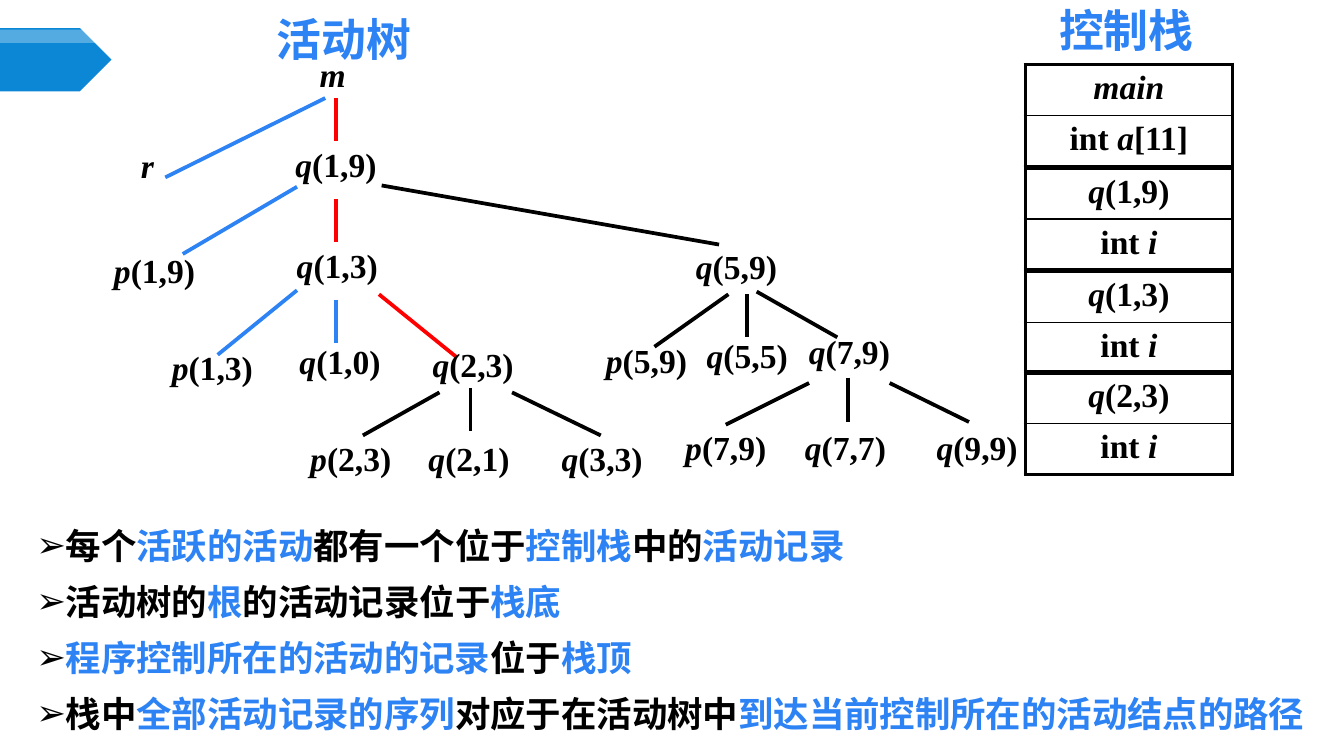
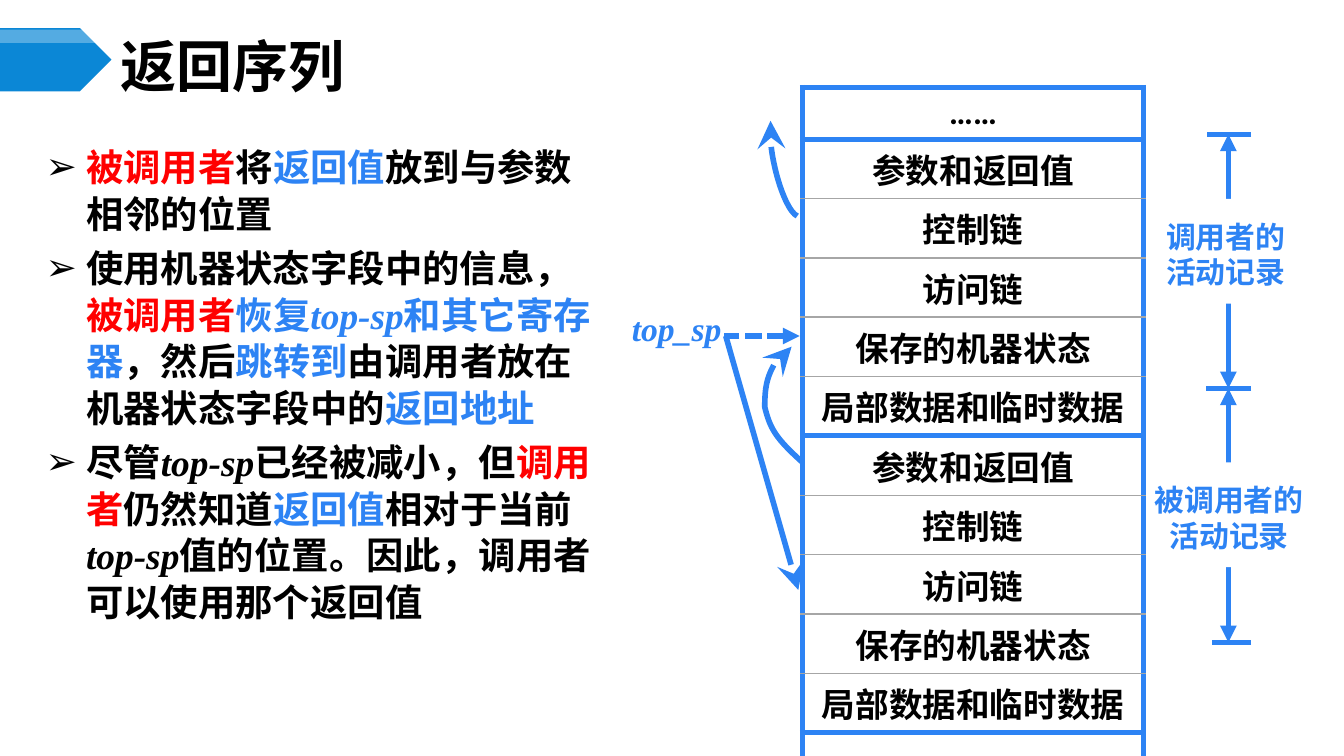
from lxml import etree
from pptx import Presentation
from pptx.dml.color import RGBColor
from pptx.enum.dml import MSO_LINE
from pptx.enum.shapes import MSO_CONNECTOR, MSO_SHAPE
from pptx.enum.text import MSO_ANCHOR, MSO_AUTO_SIZE, PP_ALIGN
from pptx.oxml.ns import qn
from pptx.util import Inches, Pt

CENTER, LEFT, JUSTIFY = PP_ALIGN.CENTER, PP_ALIGN.LEFT, PP_ALIGN.JUSTIFY
MIDDLE, TOP = MSO_ANCHOR.MIDDLE, MSO_ANCHOR.TOP
NO_FIT = MSO_AUTO_SIZE.NONE
STRAIGHT = MSO_CONNECTOR.STRAIGHT
PENTAGON, RECT, ARC = MSO_SHAPE.PENTAGON, MSO_SHAPE.RECTANGLE, MSO_SHAPE.ARC
SYS_DASH = MSO_LINE.SQUARE_DOT

COLORS = {"k": "000000", "b": "2D83F4", "r": "FF0000", "g": "A6A6A6",
          "w": "FFFFFF", "band": "0B87D6"}
RGB = {key: RGBColor.from_string(value) for key, value in COLORS.items()}
SANS, SERIF, CELL = "Noto Sans CJK SC", "Times New Roman", "Calibri"
COLS, ROWS = 100, 56.25
UNIT = Inches(10) // COLS


def grid(*cells):
    return [round(cell * UNIT) for cell in cells]


def write(p, marked, size, latin):
    for part in marked.split("|"):
        style, _, text = part.partition(":")
        if not text:
            continue
        r = p.add_run()
        r.text = text
        r.font.size = Pt(size)
        r.font.bold = True
        r.font.italic = "i" in style
        r.font.color.rgb = RGB[style[0]]
        r.font.name = latin
        etree.SubElement(r.font._element, qn("a:ea"), typeface=SANS)


prs = Presentation()
prs.slide_width, prs.slide_height = grid(COLS, ROWS)
layout = prs.slide_layouts[1]
tree, ret = [prs.slides.add_slide(layout) for _ in range(2)]

bands = [(2.1, 4.7, "band", None), (2.2, 1, "w", "30000")]
for i, (top, height, color, alpha) in enumerate(bands):
    sp = tree.shapes.add_shape(PENTAGON, *grid(0, top, 8.3, height))
    sp.shadow.inherit = False
    sp.fill.solid()
    sp.fill.fore_color.rgb = RGB[color]
    sp.line.fill.background()
    if alpha:
        clr = sp.element.spPr.find(qn("a:solidFill"))[0]
        etree.SubElement(clr, qn("a:alpha"), val=alpha)
    sp.element.xpath(".//p:cNvPr")[0].set("id", str(20 + i))
    prs.slide_master.shapes.element.insert(2 + i, sp.element)

titles = [(tree, (14.1, 0.5, 23, 4.8), "b:活动树", 24, CENTER),
          (ret, (8.3, 2.9, 86.7, 3.9), "k:返回序列", 30, LEFT)]
bodies = [
    (tree, (2, 37.6, 96.9, 17.6), 19, 30, 0, 0, JUSTIFY, [
        "k:每个|b:活跃的活动|k:都有一个位于|b:控制栈|k:中的|b:活动记录",
        "k:活动树的|b:根|k:的活动记录位于|b:栈底",
        "b:程序控制所在的活动的记录|k:位于|b:栈顶",
        "k:栈中|b:全部活动记录的序列|k:对应于在活动树中|b:到达当前控制所在的活动结点的路径"]),
    (ret, (2.7, 10.2, 42.2, 35.3), 20, 25, 4, 3, LEFT, [
        "r:被调用者|k:将|b:返回值|k:放到与参数相邻的位置",
        "k:使用机器状态字段中的信息，|r:被调用者|b:恢复|bi:top-sp|b:和其它寄存器"
        "|k:，然后|b:跳转到|k:由调用者放在机器状态字段中的|b:返回地址",
        "k:尽管|ki:top-sp|k:已经被减小，但|r:调用者|k:仍然知道|b:返回值"
        "|k:相对于当前|ki:top-sp|k:值的位置。因此，调用者可以使用那个返回值"])]

for s, box, marked, size, align in titles:
    sp = s.shapes.title
    sp.left, sp.top, sp.width, sp.height = grid(*box)
    tf = sp.text_frame
    tf.auto_size = NO_FIT
    tf.vertical_anchor = MIDDLE
    tf.margin_left, tf.margin_top, tf.margin_right, tf.margin_bottom = grid(0.7, 0.4, 0.7, 0.4)
    tf.paragraphs[0].alignment = align
    write(tf.paragraphs[0], marked, size, SANS)

for s, box, size, spacing, before, indent, align, items in bodies:
    sp = s.placeholders[1]
    sp.left, sp.top, sp.width, sp.height = grid(*box)
    tf = sp.text_frame
    tf.auto_size = NO_FIT
    tf.vertical_anchor = TOP
    tf.margin_left, tf.margin_top, tf.margin_right, tf.margin_bottom = grid(0.7, 0.4, 0.7, 0.4)
    for i, marked in enumerate(items):
        p = tf.add_paragraph() if i else tf.paragraphs[0]
        p.alignment = align
        p.line_spacing = Pt(spacing)
        p.space_before = Pt(before)
        pPr = p._p.get_or_add_pPr()
        hang = grid(indent)[0]
        pPr.set("marL", str(hang))
        pPr.set("indent", str(-hang))
        clr = etree.SubElement(pPr, qn("a:buClr"))
        etree.SubElement(clr, qn("a:srgbClr"), val=COLORS["k"])
        etree.SubElement(pPr, qn("a:buChar"), char="➢")
        write(p, marked, size, SERIF)

frames = [(4.8, "ki:main", "k:int |ki:a|k:[11]"),
          (12.5, "ki:q|k:(1,9)", "k:int |ki:i"),
          (20.2, "ki:q|k:(1,3)", "k:int |ki:i"),
          (27.7, "ki:q|k:(2,3)", "k:int |ki:i")]
record = ["k:参数和返回值", "k:控制链", "k:访问链", "k:保存的机器状态", "k:局部数据和临时数据"]
tables = [(tree, 76.3, top, 15.4, [3.8] * 2, rows, {0, 2}, ("k", 2.25), ("k", 1), SERIF)
          for top, *rows in frames]
tables.append((ret, 59.7, 6.5, 25.4, [2.9] + [3.3] * 11, ["k:……", *record, *record, "k:……"],
               {0, 1, 6, 11}, ("b", 3), ("g", 1), CELL))

for s, left, top, width, heights, rows, thick, bold, thin, latin in tables:
    gf = s.shapes.add_table(len(rows), 1, *grid(left, top, width, sum(heights)))
    tbl = gf.table
    tbl.first_row = tbl.horz_banding = False
    for i, marked in enumerate(rows):
        tbl.rows[i].height = grid(heights[i])[0]
        cell = tbl.cell(i, 0)
        cell.margin_left, cell.margin_top, cell.margin_right, cell.margin_bottom = grid(0.8, 0.4, 0.8, 0.4)
        tcPr = cell._tc.get_or_add_tcPr()
        edges = {"L": bold, "R": bold, "T": bold if i in thick else thin,
                 "B": bold if i + 1 in thick else thin}
        for side, (color, weight) in edges.items():
            ln = etree.SubElement(tcPr, qn(f"a:ln{side}"), w=str(Pt(weight)))
            fill = etree.SubElement(ln, qn("a:solidFill"))
            etree.SubElement(fill, qn("a:srgbClr"), val=COLORS[color])
        cell.fill.background()
        p = cell.text_frame.paragraphs[0]
        p.alignment = CENTER
        write(p, marked, 18, latin)

edges = [
    ("r", 25, 7.3, 25, 10.5), ("b", 24.2, 7.3, 12.3, 13.2),
    ("b", 22.1, 13.9, 13.6, 18.9), ("r", 25, 14.8, 25, 18),
    ("k", 28.4, 13.8, 53.5, 18.2),
    ("b", 22.1, 21.6, 16.2, 26.4), ("b", 25, 22.3, 25, 25.5), ("r", 28.2, 21.9, 34, 26.6),
    ("k", 32.7, 29.2, 27, 32.4), ("k", 35, 28.9, 35, 32.1), ("k", 38.1, 29.2, 44.7, 32.4),
    ("k", 54.2, 21.9, 48.7, 25.8), ("k", 55.6, 21.9, 55.6, 25.1), ("k", 56.3, 21.7, 62.3, 25.1),
    ("k", 60.2, 28.5, 54, 31.6), ("k", 63.1, 28.1, 63.1, 31.4), ("k", 66.2, 28.5, 72.1, 31.4)]
strokes = [(tree.shapes.add_connector(STRAIGHT, *grid(*ends)), color, 2, None, None)
           for color, *ends in edges]

arrows = [
    ((59.4, 43.9, 54, 25), "stealth", None),
    ((91.4, 47.8, 91.4, 28.9), "triangle", "triangle"),
    ((91.4, 28.9, 91.4, 10), "triangle", "triangle"),
    ((93.1, 10, 89.8, 10), None, None),
    ((93.1, 28.9, 89.7, 28.9), None, None),
    ((93.1, 47.8, 90.2, 47.8), None, None),
    ((59.5, 25, 53.9, 25), "triangle", None)]
strokes += [(ret.shapes.add_connector(STRAIGHT, *grid(*ends)), "b", 3, head, tail)
            for ends, head, tail in arrows]
strokes[-1][0].line.dash_style = SYS_DASH

arc = ret.shapes.add_shape(ARC, *grid(57.6, 8, 2.1, 8.2))
arc.adjustments[0], arc.adjustments[1] = 168.31, 52.3
arc.rotation = 167.6
arc.element.spPr.find(qn("a:xfrm")).set("flipV", "1")
arc.fill.background()
strokes.append((arc, "b", 3, "stealth", None))

start, *points = [grid(*pt) for pt in (
    (59.7, 34.4), (57.7, 32.6), (57.3, 31.9), (56.9, 30.3),
    (56.9, 28.8), (57.3, 26.6), (58.9, 25.8))]
fb = ret.shapes.build_freeform(*start)
fb.add_line_segments(points, close=False)
curve = fb.convert_to_shape()
curve.fill.background()
segments = curve.element.xpath(".//a:lnTo")
outline = segments[0].getparent()
for i in range(0, len(segments), 3):
    bezier = etree.SubElement(outline, qn("a:cubicBezTo"))
    for segment in segments[i:i + 3]:
        bezier.append(segment[0])
        outline.remove(segment)
strokes.append((curve, "b", 3, None, "stealth"))

for sp, color, weight, head, tail in strokes:
    sp.line.color.rgb = RGB[color]
    sp.line.width = Pt(weight)
    spPr = sp.element.spPr
    for tag, kind in (("a:headEnd", head), ("a:tailEnd", tail)):
        if kind:
            size = "lg" if kind == "stealth" else "med"
            etree.SubElement(spPr.find(qn("a:ln")), qn(tag), type=kind, w=size, len=size)
    etree.SubElement(spPr, qn("a:effectLst"))

nodes = [
    ("m", 22.8, 3.5), ("r", 9.5, 10.3), ("q(1,9)", 21, 10.2),
    ("p(1,9)", 7.5, 18.1), ("q(1,3)", 21.1, 17.7), ("q(5,9)", 50.8, 17.8),
    ("p(1,3)", 11.8, 25.3), ("q(1,0)", 21.3, 24.9), ("q(2,3)", 31.2, 25.1),
    ("p(5,9)", 44.1, 24.8), ("q(5,5)", 51.6, 24.4), ("q(7,9)", 59.2, 24.1),
    ("p(2,3)", 22.1, 32.1), ("q(2,1)", 30.9, 32.1), ("q(3,3)", 40.8, 32.1),
    ("p(7,9)", 50, 31.3), ("q(7,7)", 58.9, 31.3), ("q(9,9)", 68.7, 31.3)]
texts = [(tree, (x, y, 9.4 if len(name) > 1 else 4.8, 5.7), f"ki:{name[0]}|k:{name[1:]}",
          18, SERIF, LEFT, TOP, (1, 0.5, 1, 0.5)) for name, x, y in nodes]
texts += [
    (tree, (76, -0.2, 15.6, 4.8), "b:控制栈", 24, SANS, CENTER, MIDDLE, (0.7, 0.4, 0.7, 0.4)),
    (ret, (45.3, 22, 10.1, 5.9), "bi:top_sp", 18, SERIF, CENTER, TOP, (1, 0.9, 1, 0.5)),
    (ret, (85.4, 34.4, 12.1, 7.8), "b:被调用者的活动记录", 16, SANS, CENTER, MIDDLE, (0, 0.9, 0, 0.5)),
    (ret, (85.4, 14.8, 11.6, 7.8), "b:调用者的活动记录", 16, SANS, CENTER, MIDDLE, (1, 0.9, 1, 0.5))]

for s, box, marked, size, latin, align, anchor, margins in texts:
    if marked.endswith("活动记录"):
        sp = s.shapes.add_shape(RECT, *grid(*box))
        sp.shadow.inherit = False
        sp.fill.solid()
        sp.fill.fore_color.rgb = RGB["w"]
        sp.line.fill.background()
    else:
        sp = s.shapes.add_textbox(*grid(*box))
    tf = sp.text_frame
    tf.word_wrap = True
    tf.vertical_anchor = anchor
    tf.margin_left, tf.margin_top, tf.margin_right, tf.margin_bottom = grid(*margins)
    tf.paragraphs[0].alignment = align
    write(tf.paragraphs[0], marked, size, latin)

prs.save("out.pptx")
